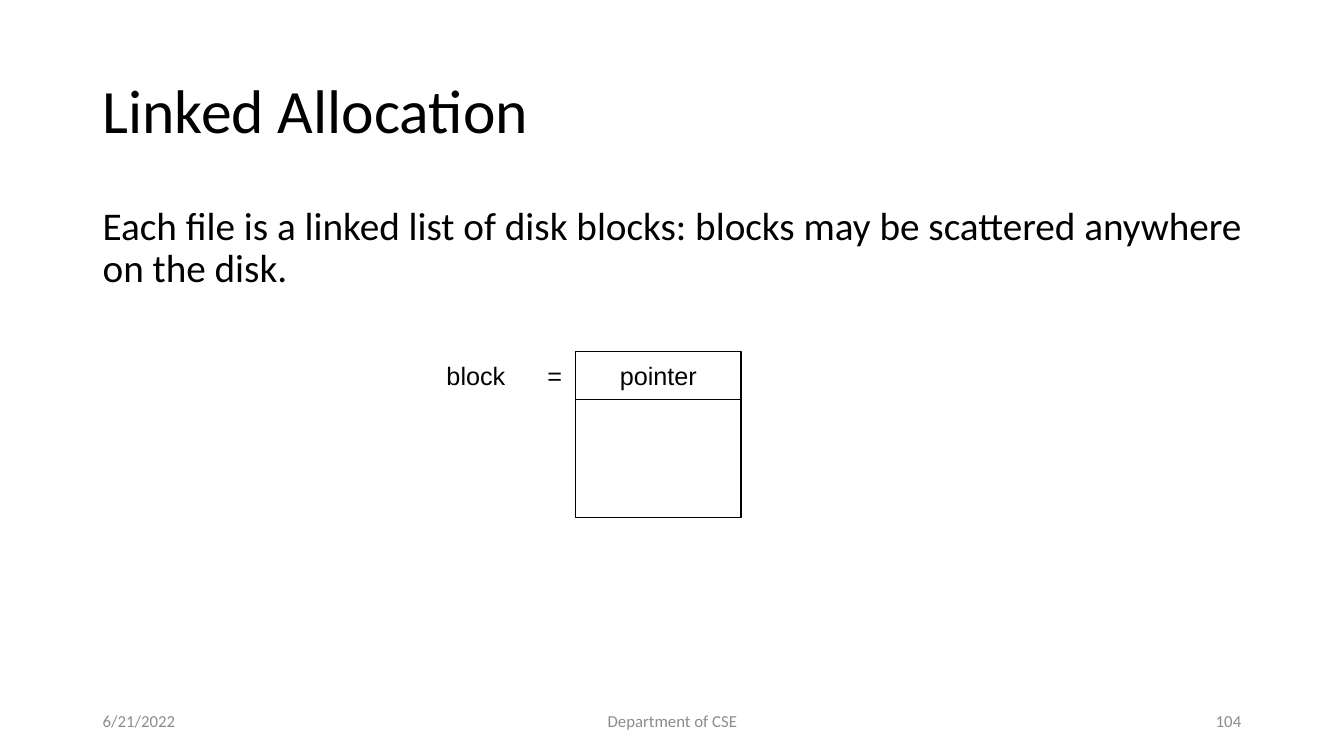
from lxml import etree
from pptx import Presentation
from pptx.dml.color import RGBColor
from pptx.enum.shapes import MSO_SHAPE
from pptx.enum.text import MSO_ANCHOR, PP_ALIGN
from pptx.oxml.ns import qn
from pptx.util import Inches, Pt

RECTANGLE = MSO_SHAPE.RECTANGLE
TOP, MIDDLE = MSO_ANCHOR.TOP, MSO_ANCHOR.MIDDLE
LEFT, CENTER, RIGHT = PP_ALIGN.LEFT, PP_ALIGN.CENTER, PP_ALIGN.RIGHT
BLACK, WHITE, GRAY = "000000", "FFFFFF", "8C8C8C"


def color(hex_string):
    return RGBColor.from_string(hex_string)


def write(shape, text, size, font="Calibri", ink=BLACK, align=LEFT, anchor=MIDDLE, wrap=True):
    text_frame = shape.text_frame
    text_frame.text = text
    text_frame.word_wrap = wrap
    text_frame.vertical_anchor = anchor
    paragraph = text_frame.paragraphs[0]
    paragraph.alignment = align
    for run in paragraph.runs:
        run.font.size = Pt(size)
        run.font.name = font
        run.font.color.rgb = color(ink)
    return paragraph


presentation = Presentation()
presentation.slide_width = Inches(13.33)
presentation.slide_height = Inches(7.5)
slide = presentation.slides.add_slide(presentation.slide_layouts[6])
shapes = slide.shapes

title = shapes.add_textbox(Inches(0.92), Inches(0.4), Inches(11.5), Inches(1.45))
title_paragraph = write(title, "Linked Allocation", 44)
title_paragraph.line_spacing = 0.9

body = shapes.add_textbox(Inches(0.92), Inches(2), Inches(11.5), Inches(4.76))
body_text = "Each file is a linked list of disk blocks: blocks may be scattered anywhere on the disk."
body_paragraph = write(body, body_text, 28, anchor=TOP)
body_paragraph.line_spacing = 0.9
body_paragraph.space_before = Pt(10)

footers = [
    ("6/21/2022", 0.92, 3, LEFT),
    ("Department of CSE", 4.42, 4.5, CENTER),
    ("104", 9.41, 3, RIGHT),
]
for text, left, width, align in footers:
    footer = shapes.add_textbox(Inches(left), Inches(6.95), Inches(width), Inches(0.4))
    write(footer, text, 12, ink=GRAY, align=align)

for text, top, height in [("pointer", 3.49, 0.47), ("", 3.96, 1.17)]:
    cell = shapes.add_shape(RECTANGLE, Inches(5.71), Inches(top), Inches(1.64), Inches(height))
    cell.shadow.inherit = False
    cell.fill.solid()
    cell.fill.fore_color.rgb = color(WHITE)
    cell.line.color.rgb = color(BLACK)
    cell.line.width = Pt(0.75)
    if text:
        write(cell, text, 18, font="Arial", align=CENTER, wrap=False)

block_label = shapes.add_textbox(Inches(4.33), Inches(3.52), Inches(1.35), Inches(0.4))
label_paragraph = write(block_label, "block\t=", 18, font="Arial")
tab_list = etree.SubElement(label_paragraph._p.get_or_add_pPr(), qn("a:tabLst"))
etree.SubElement(tab_list, qn("a:tab"), pos=str(Inches(1)), algn="l")

presentation.save("out.pptx")
